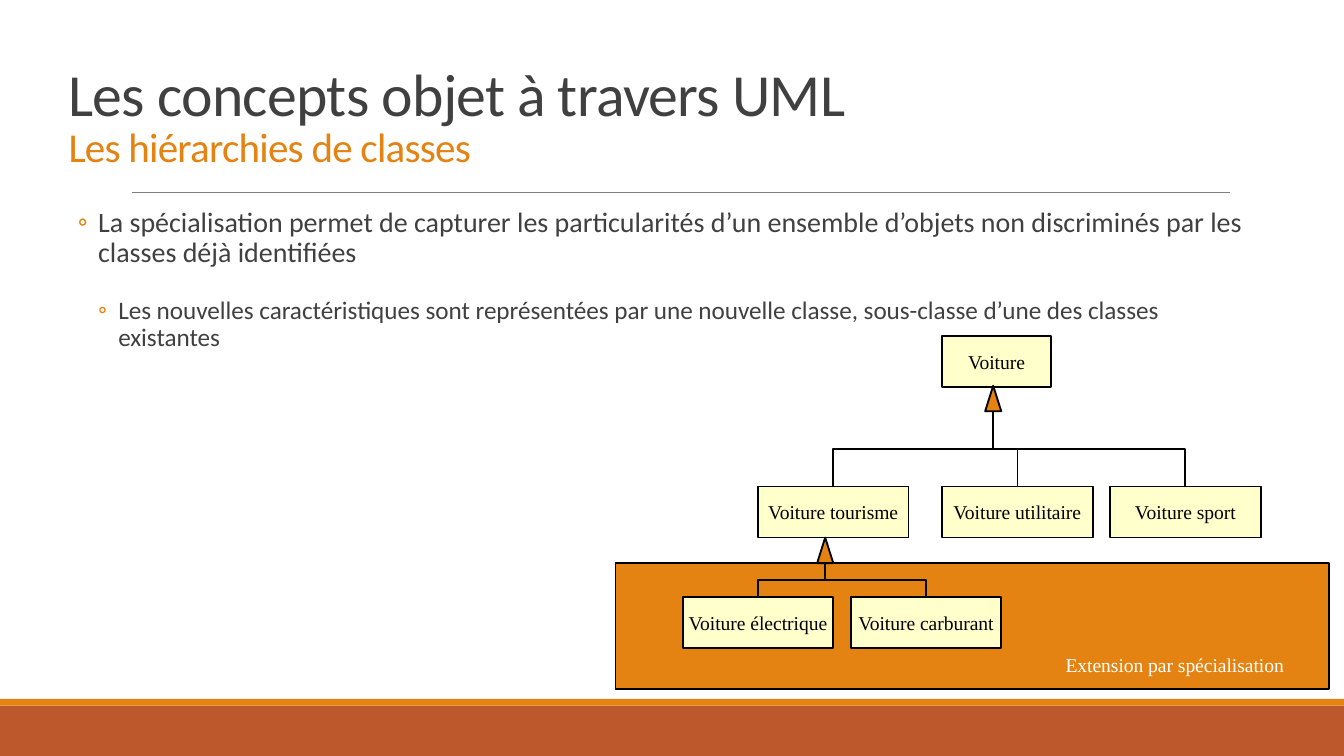
from pptx import Presentation
from pptx.dml.color import RGBColor
from pptx.enum.shapes import MSO_CONNECTOR as Link, MSO_SHAPE as Kind
from pptx.enum.text import MSO_ANCHOR as Anchor, PP_ALIGN as Align
from pptx.oxml.ns import qn
from pptx.util import Inches, Pt
from lxml.etree import SubElement

ORANGE = RGBColor(0xE4, 0x83, 0x12)
RUST = RGBColor(0xBD, 0x58, 0x2C)
CREAM = RGBColor(0xFF, 0xFF, 0xCC)
DARK = RGBColor(0x40, 0x40, 0x40)
GREY = RGBColor(0x80, 0x80, 0x80)
BLACK = RGBColor(0, 0, 0)
WHITE = RGBColor(0xFF, 0xFF, 0xFF)
SERIF = "Times New Roman"
WIDE = 10
HIGH = WIDE * 9 / 16
BOX_W, BOX_H = 1.12, 0.38
TIP_W, TIP_H = 0.12, 0.19


def write(para, text, size=10.5, color=BLACK, font=SERIF, track=None):
    run = para.add_run()
    run.text = text
    run.font.size = Pt(size)
    run.font.name = font
    run.font.color.rgb = color
    if track is not None:
        run.font._element.set("spc", str(track))


def shape(slide, x, y, w, h, fill, kind=Kind.RECTANGLE, edge=BLACK):
    item = slide.shapes.add_shape(kind, Inches(x), Inches(y), Inches(w), Inches(h))
    item.shadow.inherit = False
    item.fill.solid()
    item.fill.fore_color.rgb = fill
    if edge is None:
        item.line.fill.background()
    else:
        item.line.color.rgb = edge
        item.line.width = Pt(1)
    return item


def node(slide, text, x, y, w=BOX_W):
    frame = shape(slide, x, y, w, BOX_H, CREAM).text_frame
    frame.word_wrap = False
    frame.vertical_anchor = Anchor.MIDDLE
    para = frame.paragraphs[0]
    para.alignment = Align.CENTER
    write(para, text)


def line(slide, kind, x1, y1, x2, y2, color=BLACK, width=1):
    item = slide.shapes.add_connector(kind, Inches(x1), Inches(y1), Inches(x2), Inches(y2))
    item.line.color.rgb = color
    item.line.width = Pt(width)
    SubElement(item._element.spPr, qn("a:effectLst"))
    return item


def elbow(slide, x1, y1, x2, y2):
    high, wide = y2 - y1, abs(x2 - x1)
    left, top = (x1 + x2 - high) / 2, (y1 + y2 - wide) / 2
    ends = (left, left + high) if x2 < x1 else (left + high, left)
    item = line(slide, Link.ELBOW, ends[0], top, ends[1], top + wide)
    angle = 90 if x2 < x1 else 270
    item._element.spPr.find(qn("a:xfrm")).set("rot", str(angle * 60000))


def tree(slide, x, y, kids, row):
    shape(slide, x - TIP_W / 2, y, TIP_W, TIP_H, ORANGE, Kind.ISOSCELES_TRIANGLE)
    for text, left in kids:
        node(slide, text, left, row)
        elbow(slide, x, y + TIP_H, left + BOX_W / 2, row)


def bullet(para, text, size, indent, before):
    props = para._p.get_or_add_pPr()
    props.set("marL", str(Inches(indent)))
    props.set("indent", str(Inches(-0.15)))
    para.line_spacing = 0.9
    para.space_before = Pt(before)
    para.space_after = Pt(3)
    tint = SubElement(SubElement(props, qn("a:buClr")), qn("a:srgbClr"))
    tint.set("val", str(ORANGE))
    SubElement(props, qn("a:buFont")).set("typeface", "Calibri")
    SubElement(props, qn("a:buChar")).set("char", "◦")
    write(para, text, size, DARK, "Calibri")


def textbox(slide, x, y, w, h, wrap=True):
    frame = slide.shapes.add_textbox(Inches(x), Inches(y), Inches(w), Inches(h)).text_frame
    frame.word_wrap = wrap
    return frame


def title(slide):
    head = slide.shapes.title
    head.left, head.top = Inches(0.41), Inches(0.41)
    head.width, head.height = Inches(8.57), Inches(0.91)
    frame = head.text_frame
    frame.word_wrap = True
    frame.vertical_anchor = Anchor.BOTTOM
    para = frame.paragraphs[0]
    para.alignment = Align.LEFT
    para.line_spacing = 0.85
    write(para, "Les concepts objet à travers UML ", 32, DARK, "Calibri", -40)
    para.add_line_break()
    write(para, "Les hiérarchies de classes", 22, ORANGE, "Calibri", -40)


def body(slide):
    frame = textbox(slide, 0.41, 1.5, 8.98, 1.25)
    frame.margin_left = frame.margin_right = 0
    bullet(frame.paragraphs[0],
           "La spécialisation permet de capturer les particularités d’un ensemble "
           "d’objets non discriminés par les classes déjà identifiées", 15, 0.32, 0)
    bullet(frame.add_paragraph(),
           "Les nouvelles caractéristiques sont représentées par une nouvelle classe, "
           "sous-classe d’une des classes existantes", 13.5, 0.47, 12.6)


def main():
    deck = Presentation()
    deck.slide_width, deck.slide_height = Inches(WIDE), Inches(HIGH)
    slide = deck.slides.add_slide(deck.slide_layouts[5])
    shape(slide, 0, 5.25, WIDE, HIGH - 5.25, RUST, edge=None)
    shape(slide, 0, 5.2, WIDE, 0.05, ORANGE, edge=None)
    line(slide, Link.STRAIGHT, 0.98, 1.43, 9.15, 1.43, GREY, 0.5)
    title(slide)
    body(slide)
    shape(slide, 4.58, 4.19, 5.31, 0.94, ORANGE)
    node(slide, "Voiture", 7.01, 2.5, 0.81)
    tree(slide, 7.39, 2.87, [("Voiture tourisme", 5.64), ("Voiture utilitaire", 7.01),
                             ("Voiture sport", 8.26)], 3.62)
    tree(slide, 6.14, 4, [("Voiture électrique", 5.08), ("Voiture carburant", 6.33)], 4.44)
    label = textbox(slide, 7.83, 4.81, 1.85, 0.28, False)
    write(label.paragraphs[0], "Extension par spécialisation", color=WHITE)
    deck.save("out.pptx")


if __name__ == "__main__":
    main()
